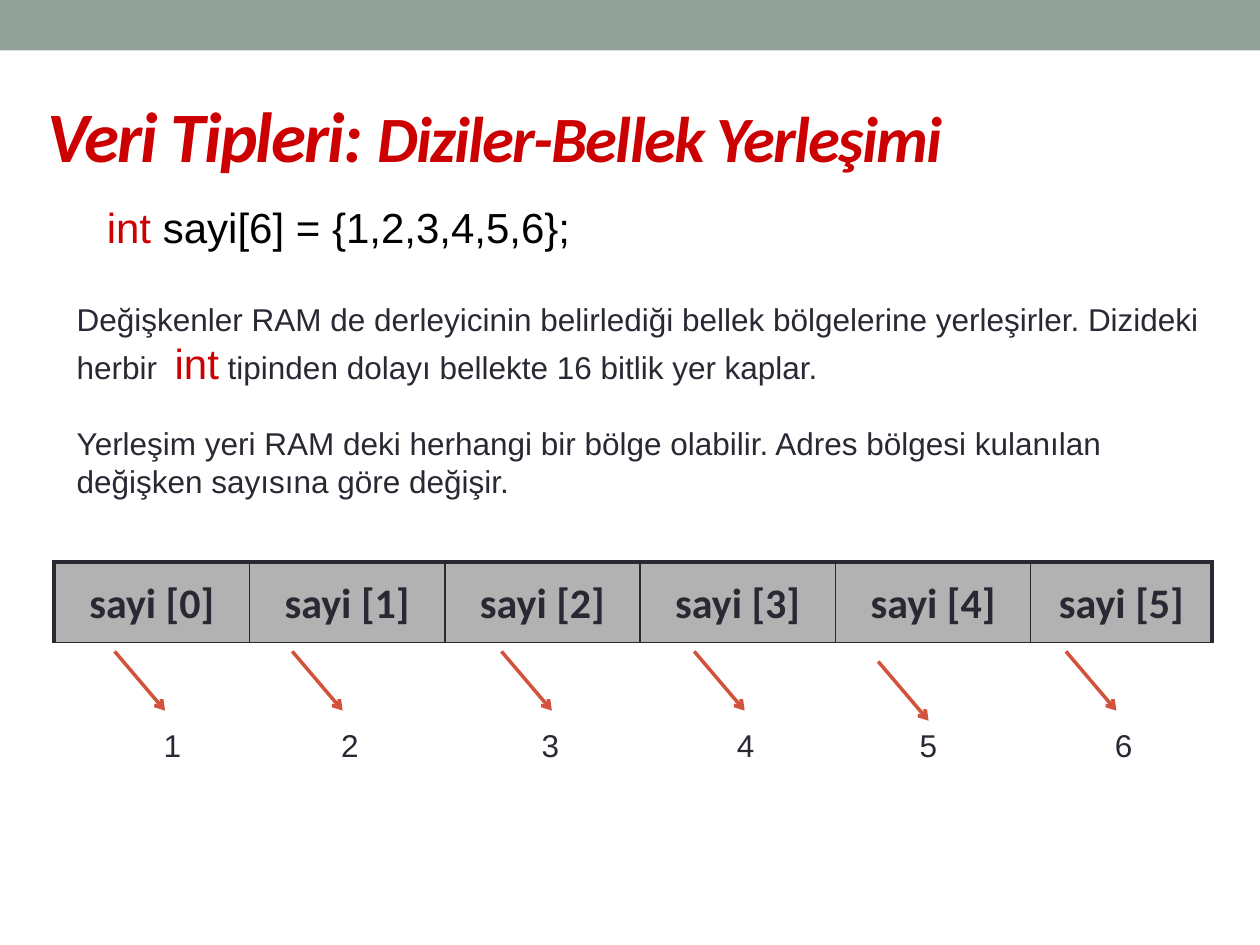
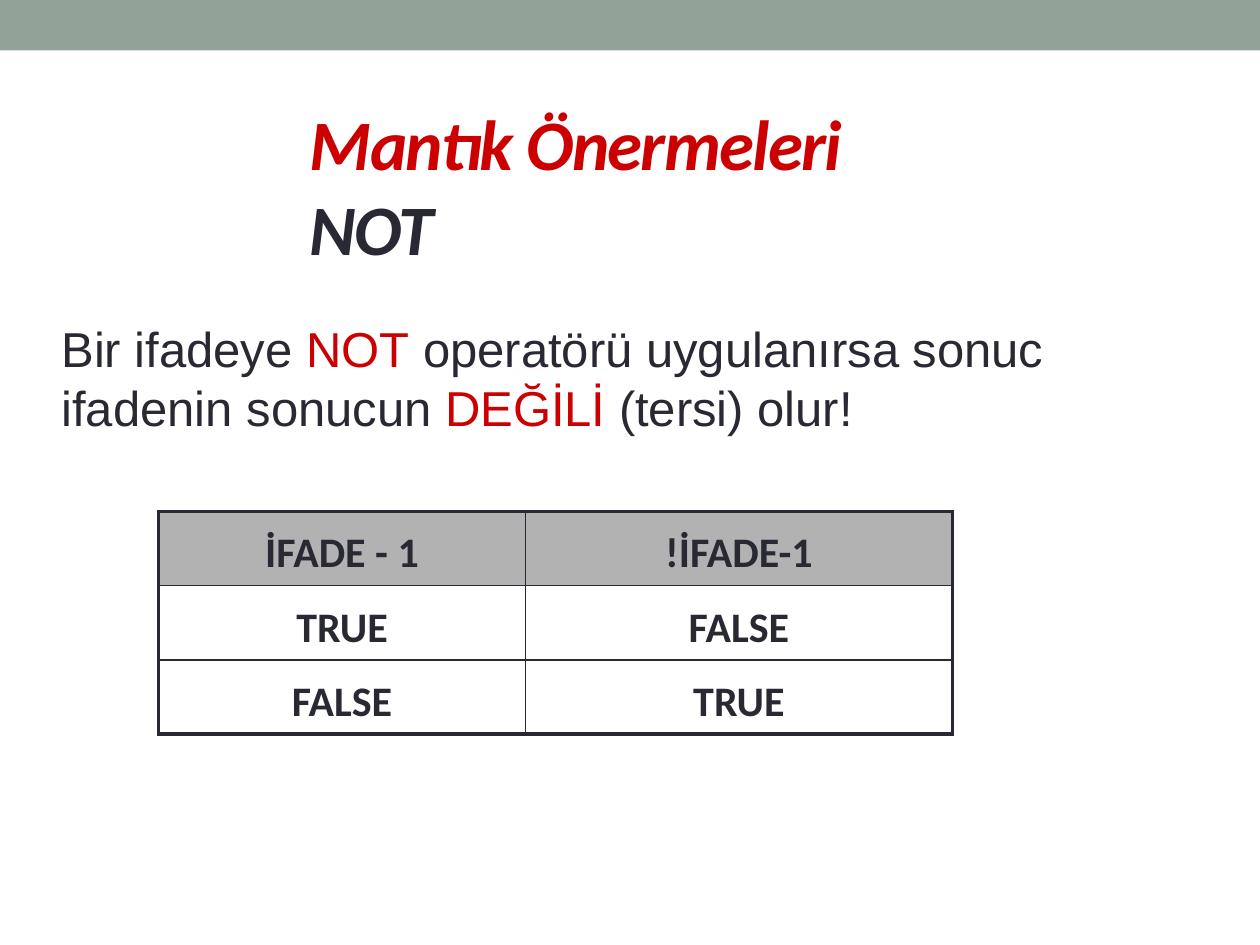
import lxml.etree
import pptx
import pptx.dml.color
import pptx.enum.shapes
import pptx.enum.text
import pptx.oxml.ns
import pptx.util

EMU_PER_PX = 9144
RED = pptx.dml.color.RGBColor(0xCC, 0x00, 0x00)
BLACK = pptx.dml.color.RGBColor(0x00, 0x00, 0x00)
INK = pptx.dml.color.RGBColor(0x29, 0x29, 0x34)
SAGE = pptx.dml.color.RGBColor(0x93, 0xA2, 0x99)
GREY = pptx.dml.color.RGBColor(0xB2, 0xB2, 0xB2)
RUST = pptx.dml.color.RGBColor(0xD2, 0x53, 0x3C)
TITLE_FONT = "Calibri"
BODY_FONT = "Arial"
TITLE_ONLY = 5
THICK, THIN = 2.25, 1


def px(length):
    """Turn a length in px into EMU."""
    return pptx.util.Emu(round(length * EMU_PER_PX))


def add_xml(parent, tag, **attributes):
    """Append a drawing element to a parent and return it."""
    return lxml.etree.SubElement(parent, pptx.oxml.ns.qn(tag), attributes)


def add_runs(paragraph, runs):
    """Fill a paragraph with (text, size, colour) runs."""
    for text, size, colour in runs:
        run = paragraph.add_run()
        run.text = text
        run.font.size = pptx.util.Pt(size)
        run.font.color.rgb = colour


def add_band(presentation, slide, box):
    """Put the top band on the master, behind its placeholders."""
    band = slide.shapes.add_shape(
        pptx.enum.shapes.MSO_SHAPE.RECTANGLE, *map(px, box))
    band.shadow.inherit = False
    band.fill.solid()
    band.fill.fore_color.rgb = SAGE
    band.line.fill.background()
    presentation.slide_master.shapes._spTree.insert(2, band._element)


def place_title(slide, box, lines):
    """Format the title placeholder, with one list of runs for each line."""
    title = slide.shapes.title
    title.left, title.top, title.width, title.height = map(px, box)
    frame = title.text_frame
    frame.auto_size = pptx.enum.text.MSO_AUTO_SIZE.NONE
    frame.vertical_anchor = pptx.enum.text.MSO_ANCHOR.MIDDLE
    paragraph = frame.paragraphs[0]
    paragraph.alignment = pptx.enum.text.PP_ALIGN.LEFT
    paragraph.font.name = TITLE_FONT
    paragraph.font.bold = paragraph.font.italic = True
    for number, runs in enumerate(lines):
        if number:
            paragraph.add_line_break()
        add_runs(paragraph, runs)
    for run in paragraph.runs:
        run.font.name = TITLE_FONT
        run.font._element.set("spc", "-100")


def add_text(slide, box, paragraphs, gap=0):
    """Add a wrapped text box with a gap in points between paragraphs."""
    frame = slide.shapes.add_textbox(*map(px, box)).text_frame
    frame.word_wrap = True
    for number, runs in enumerate(paragraphs):
        paragraph = frame.add_paragraph() if number else frame.paragraphs[0]
        paragraph.font.name = BODY_FONT
        if number:
            paragraph.space_before = pptx.util.Pt(gap)
        add_runs(paragraph, runs)
        for run in paragraph.runs:
            run.font.name = BODY_FONT
    return frame


def set_borders(cell, widths):
    """Draw the left, right, top and bottom borders of a cell."""
    properties = cell._tc.get_or_add_tcPr()
    for position, (side, width) in enumerate(zip("LRTB", widths)):
        line = add_xml(properties, f"a:ln{side}", w=str(pptx.util.Pt(width)))
        fill = add_xml(line, "a:solidFill")
        add_xml(fill, "a:srgbClr", val=str(INK))
        properties.insert(position, line)


def add_grid(slide, box, column_widths, rows, bottom_border=THICK):
    """Add a table with a grey first row and a heavy outer frame."""
    table = slide.shapes.add_table(
        len(rows), len(column_widths), *map(px, box)).table
    table.first_row = table.horz_banding = False
    for column, width in zip(table.columns, column_widths):
        column.width = px(width)
    last_row, last_column = len(rows) - 1, len(column_widths) - 1
    for r, texts in enumerate(rows):
        for c, text in enumerate(texts):
            cell = table.cell(r, c)
            cell.text = text
            paragraph = cell.text_frame.paragraphs[0]
            paragraph.alignment = pptx.enum.text.PP_ALIGN.CENTER
            paragraph.line_spacing = 1.2
            font = paragraph.runs[0].font
            font.name, font.size, font.bold = TITLE_FONT, pptx.util.Pt(24), True
            font.color.rgb = INK
            if r == 0:
                cell.fill.solid()
                cell.fill.fore_color.rgb = GREY
            else:
                cell.fill.background()
            set_borders(cell, (
                THIN if c else THICK,
                THICK if c == last_column else THIN,
                THIN if r else THICK,
                bottom_border if r == last_row else THIN))


def add_arrow(slide, left, top, width=40, height=47):
    """Add an arrow that runs down to the right."""
    arrow = slide.shapes.add_connector(
        pptx.enum.shapes.MSO_CONNECTOR.STRAIGHT,
        px(left), px(top), px(left + width), px(top + height))
    arrow.line.color.rgb = RUST
    arrow.line.width = pptx.util.Pt(2)
    add_xml(arrow.line._get_or_add_ln(), "a:tailEnd", type="arrow")
    add_xml(arrow._element.spPr, "a:effectLst")


def add_values(slide, box, tab_stops):
    """Add the row of stored values, numbered from 1, at tab stops."""
    text = "".join(f"\t{value}" for value in range(1, len(tab_stops) + 1))
    frame = add_text(slide, box, [[(text, 18, INK)]])
    tabs = add_xml(frame.paragraphs[0]._p.get_or_add_pPr(), "a:tabLst")
    for stop in tab_stops:
        add_xml(tabs, "a:tab", pos=str(px(stop)), algn="l")
    frame.paragraphs[0]._p.pPr.insert(0, tabs)


def add_memory_diagram(slide, left, top):
    """Draw the array cells with arrows to their values."""
    names = [f"sayi [{index}]" for index in range(6)]
    add_grid(slide, (left, top, 919, 64), [155] * 5 + [144], [names], THIN)
    arrow_starts = [(48, 71), (189, 71), (355, 71), (508, 71), (654, 79), (803, 71)]
    for across, down in arrow_starts:
        add_arrow(slide, left + across, top + down)
    add_values(slide, (left - 23, top + 125, 917, 40),
               [100, 241, 400, 555, 700, 855])


def build_array_slide(slide):
    """Build the slide on how an array lies in memory."""
    place_title(slide, (28, 44, 772, 125), [
        [("Veri Tipleri: ", 40.5, RED), ("Diziler-Bellek Yerleşimi", 36.9, RED)]])
    add_text(slide, (75, 155, 496, 50), [
        [("int ", 24, RED), ("sayi[6] = {1,2,3,4,5,6};", 24, BLACK)]])
    add_text(slide, (51, 233, 929, 172), [
        [("Değişkenler RAM de derleyicinin belirlediği bellek bölgelerine "
          "yerleşirler. Dizideki herbir  ", 18, INK),
         ("int", 24, RED),
         (" tipinden dolayı bellekte 16 bitlik yer kaplar.", 18, INK)],
        [("Yerleşim yeri RAM deki herhangi bir bölge olabilir. Adres bölgesi "
          "kulanılan değişken sayısına göre değişir.", 18, INK)]], gap=20.7)
    add_memory_diagram(slide, 43, 446)


def build_not_slide(slide):
    """Build the slide on the NOT operator and its truth table."""
    place_title(slide, (236, 84, 678, 125), [
        [("Mantık Önermeleri", 40.5, RED)], [("NOT", 40.5, INK)]])
    add_grid(slide, (126, 406, 630, 174), [291, 339], [
        ["İFADE - 1", "!İFADE-1"], ["TRUE", "FALSE"], ["FALSE", "TRUE"]])
    add_text(slide, (39, 248, 894, 103), [
        [("Bir ifadeye ", 28, INK), ("NOT", 28, RED),
         (" operatörü uygulanırsa sonuc ifadenin sonucun ", 28, INK),
         ("DEĞİLİ", 28, RED), (" (tersi) olur!", 28, INK)]])


def main():
    """Build and save the presentation."""
    presentation = pptx.Presentation()
    presentation.slide_width, presentation.slide_height = px(1000), px(750)
    layout = presentation.slide_layouts[TITLE_ONLY]
    array_slide = presentation.slides.add_slide(layout)
    add_band(presentation, array_slide, (0, 0, 1000, 40))
    build_array_slide(array_slide)
    build_not_slide(presentation.slides.add_slide(layout))
    presentation.save("out.pptx")


if __name__ == "__main__":
    main()
